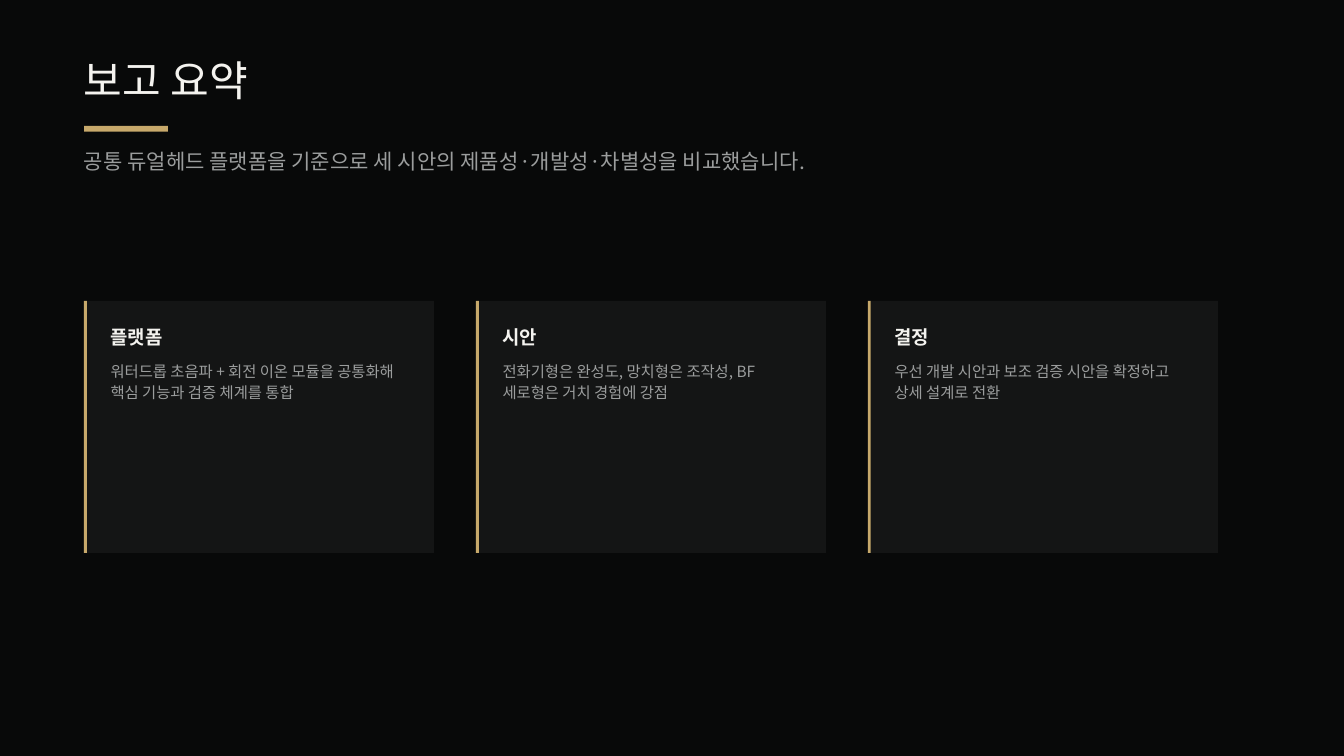
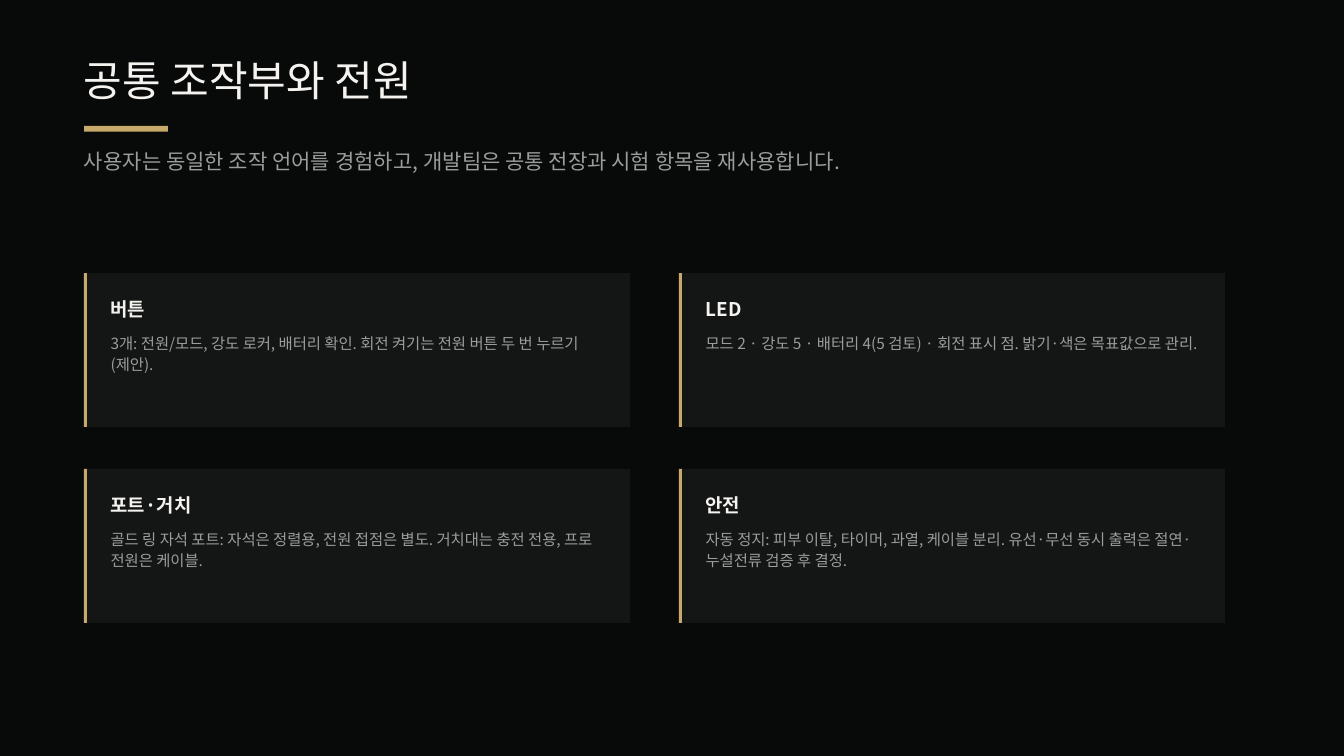
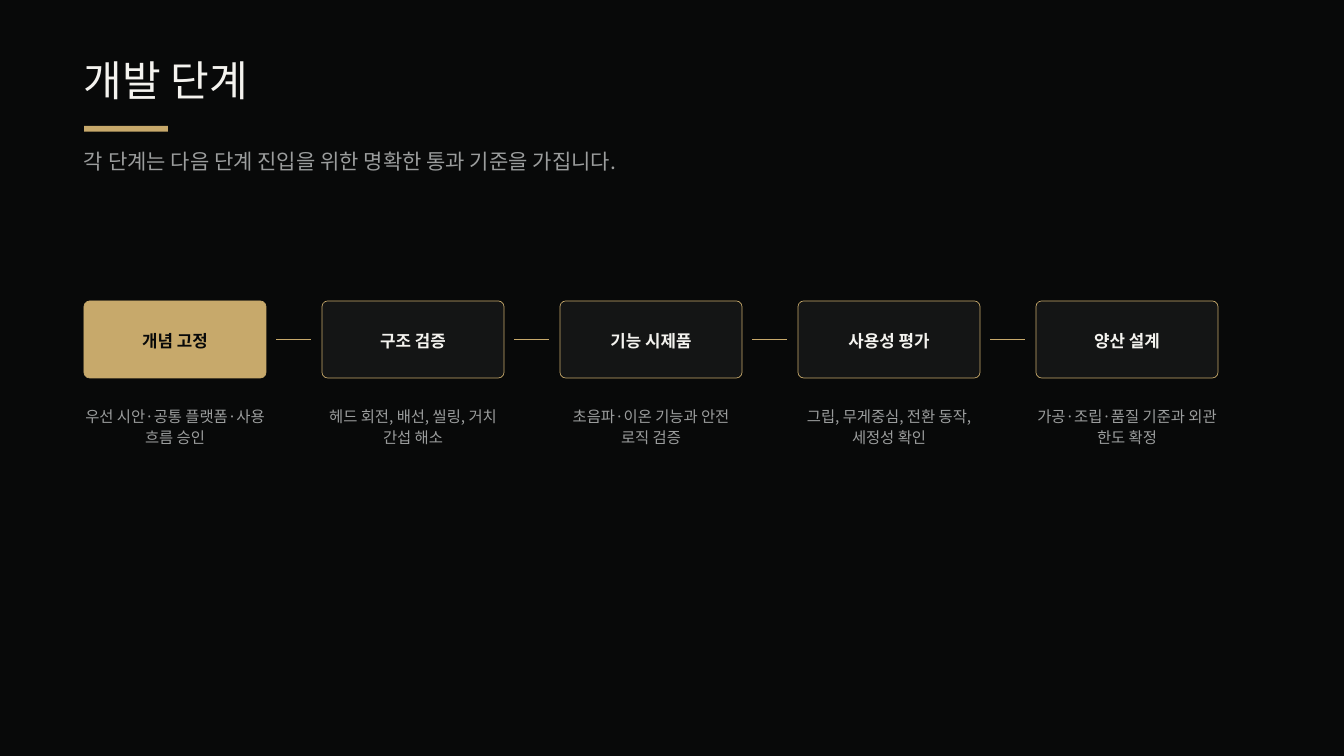
from lxml import etree
from pptx import Presentation
from pptx.dml.color import RGBColor
from pptx.enum import shapes, text
from pptx.oxml import ns
from pptx.util import Pt

FONT = "Noto Sans CJK KR"
BLACK = RGBColor(0x08, 0x09, 0x09)
PANEL = RGBColor(0x14, 0x15, 0x15)
GOLD = RGBColor(0xC7, 0xA9, 0x6B)
IVORY = RGBColor(0xF4, 0xF3, 0xEF)
GREY = RGBColor(0x9B, 0x9D, 0x9D)

MARGIN = 90

SUMMARY_CARDS = [
    ("플랫폼", "워터드롭 초음파 + 회전 이온 모듈을 공통화해 핵심 기능과 검증 체계를 통합"),
    ("시안", "전화기형은 완성도, 망치형은 조작성, BF 세로형은 거치 경험에 강점"),
    ("결정", "우선 개발 시안과 보조 검증 시안을 확정하고 상세 설계로 전환"),
]
CONTROL_CARDS = [
    ("버튼", "3개: 전원/모드, 강도 로커, 배터리 확인. 회전 켜기는 전원 버튼 두 번 누르기(제안)."),
    ("LED", "모드 2 · 강도 5 · 배터리 4(5 검토) · 회전 표시 점. 밝기·색은 목표값으로 관리."),
    ("포트·거치", "골드 링 자석 포트: 자석은 정렬용, 전원 접점은 별도. 거치대는 충전 전용, 프로 전원은 케이블."),
    ("안전", "자동 정지: 피부 이탈, 타이머, 과열, 케이블 분리. 유선·무선 동시 출력은 절연·누설전류 검증 후 결정."),
]
STAGES = [
    ("개념 고정", "우선 시안·공통 플랫폼·사용 흐름 승인"),
    ("구조 검증", "헤드 회전, 배선, 씰링, 거치 간섭 해소"),
    ("기능 시제품", "초음파·이온 기능과 안전 로직 검증"),
    ("사용성 평가", "그립, 무게중심, 전환 동작, 세정성 확인"),
    ("양산 설계", "가공·조립·품질 기준과 외관 한도 확정"),
]


def write_text(shape, content, size, spacing, color, bold=False, centered=False, inset=0):
    """Fill a shape with one styled paragraph."""
    frame = shape.text_frame
    frame.word_wrap = True
    frame.margin_left = frame.margin_right = Pt(inset)
    frame.margin_top = frame.margin_bottom = Pt(inset)
    frame.text = content
    paragraph = frame.paragraphs[0]
    paragraph.line_spacing = Pt(spacing)
    paragraph.alignment = text.PP_ALIGN.CENTER if centered else text.PP_ALIGN.LEFT
    font = paragraph.runs[0].font
    font.name, font.size, font.bold = FONT, Pt(size), bold
    font.color.rgb = color
    properties = paragraph.runs[0]._r.get_or_add_rPr()
    etree.SubElement(properties, ns.qn("a:ea")).set("typeface", FONT)


def add_text(parent, box, *args, **style):
    """Add a text box that grows with its content."""
    shape = parent.shapes.add_textbox(*map(Pt, box))
    write_text(shape, *args, **style)
    shape.text_frame.auto_size = text.MSO_AUTO_SIZE.SHAPE_TO_FIT_TEXT


def add_block(parent, box, fill, kind=shapes.MSO_SHAPE.RECTANGLE):
    """Add a flat filled shape without outline."""
    shape = parent.shapes.add_shape(kind, *map(Pt, box))
    shape.shadow.inherit = False
    shape.fill.solid()
    shape.fill.fore_color.rgb = fill
    shape.line.fill.background()
    return shape


def add_slide(presentation, title, subtitle):
    """Add a dark slide with title, gold bar and subtitle."""
    slide = presentation.slides.add_slide(presentation.slide_layouts[6])
    slide.background.fill.solid()
    slide.background.fill.fore_color.rgb = BLACK
    add_text(slide, (MARGIN, 62, 1260, 52), title, 45, 50.4, IVORY)
    add_block(slide, (MARGIN, 135, 90, 6), GOLD)
    add_text(slide, (MARGIN, 153.4, 1050, 30), subtitle, 22.5, 32.6, GREY)
    return slide


def add_card(slide, box, heading, body):
    """Add a panel with a gold left edge, heading and body."""
    left, top, width, height = box
    padding = 28.5
    card = slide.shapes.add_group_shape()
    add_block(card, box, PANEL)
    add_block(card, (left, top, 3, height), GOLD)
    text_left, text_width = left + padding, width - 2 * padding
    add_text(card, (text_left, top + 22.5, text_width, 26.6), heading, 20.25, 28.4, IVORY, bold=True)
    add_text(card, (text_left, top + 62, text_width, 44), body, 16.5, 23.1, GREY)


def add_card_grid(slide, cards, box, columns, gaps):
    """Lay cards out row by row, starting from the box of the first one."""
    left, top, width, height = box
    for index, (heading, body) in enumerate(cards):
        row, column = divmod(index, columns)
        card_box = (left + column * (width + gaps[0]), top + row * (height + gaps[1]), width, height)
        add_card(slide, card_box, heading, body)


def add_stage(slide, box, name, criterion, active):
    """Add a rounded stage box with its pass criterion below."""
    left, top, width, height = box
    stage = slide.shapes.add_group_shape()
    block = add_block(stage, box, GOLD if active else PANEL, shapes.MSO_SHAPE.ROUNDED_RECTANGLE)
    block.adjustments[0] = 6 / height
    block.line.color.rgb = GOLD
    block.line.width = Pt(0.75)
    block.text_frame.vertical_anchor = text.MSO_ANCHOR.MIDDLE
    write_text(block, name, 18, 25.2, BLACK if active else IVORY, bold=True, centered=True, inset=4.5)
    add_text(stage, (left, top + 110.25, width, 44), criterion, 16.5, 23.1, GREY, centered=True)


def add_link(slide, start, end, middle):
    """Add a horizontal gold line between two stages."""
    link = slide.shapes.add_connector(
        shapes.MSO_CONNECTOR.STRAIGHT, Pt(start), Pt(middle), Pt(end), Pt(middle))
    link.line.color.rgb = GOLD
    link.line.width = Pt(1.5)
    etree.SubElement(link._element.spPr, ns.qn("a:effectLst"))


def add_stage_row(slide, stages, box, gap, clearance):
    """Lay stages out from left to right with links in the gaps."""
    left, top, width, height = box
    for index, (name, criterion) in enumerate(stages):
        stage_left = left + index * (width + gap)
        if index:
            add_link(slide, stage_left - gap + clearance, stage_left - clearance, top + height / 2)
        add_stage(slide, (stage_left, top, width, height), name, criterion, index == 0)


def main():
    """Build and save the presentation."""
    presentation = Presentation()
    presentation.slide_width, presentation.slide_height = Pt(1440), Pt(810)

    slide = add_slide(presentation, "보고 요약",
                      "공통 듀얼헤드 플랫폼을 기준으로 세 시안의 제품성·개발성·차별성을 비교했습니다.")
    add_card_grid(slide, SUMMARY_CARDS, (MARGIN, 322.5, 375, 270), 3, (45, 0))

    slide = add_slide(presentation, "공통 조작부와 전원",
                      "사용자는 동일한 조작 언어를 경험하고, 개발팀은 공통 전장과 시험 항목을 재사용합니다.")
    add_card_grid(slide, CONTROL_CARDS, (MARGIN, 292.5, 585, 165), 2, (52.5, 45))

    slide = add_slide(presentation, "개발 단계",
                      "각 단계는 다음 단계 진입을 위한 명확한 통과 기준을 가집니다.")
    add_stage_row(slide, STAGES, (MARGIN, 322.5, 195, 82.5), 60, 11.25)

    presentation.save("out.pptx")


if __name__ == "__main__":
    main()
